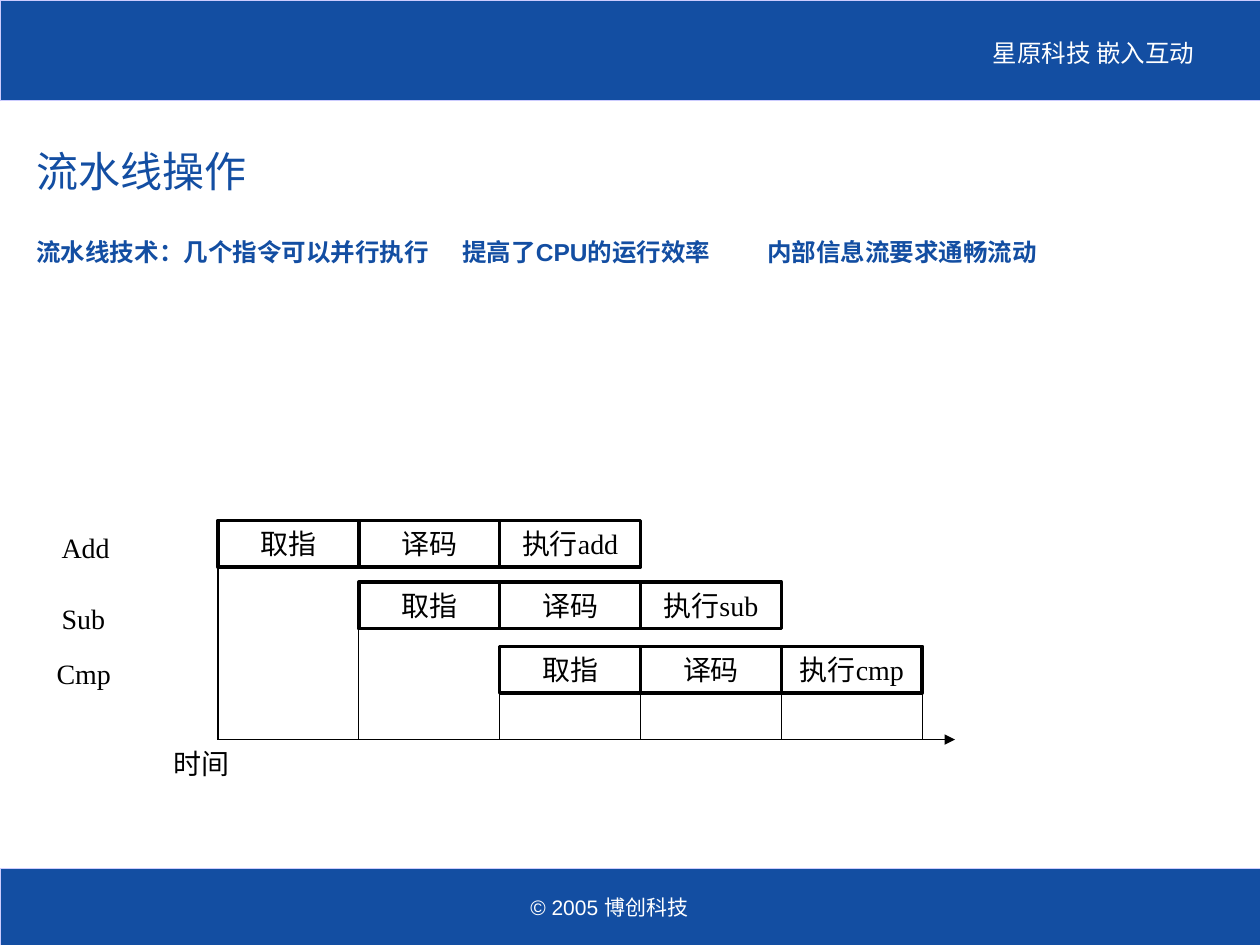
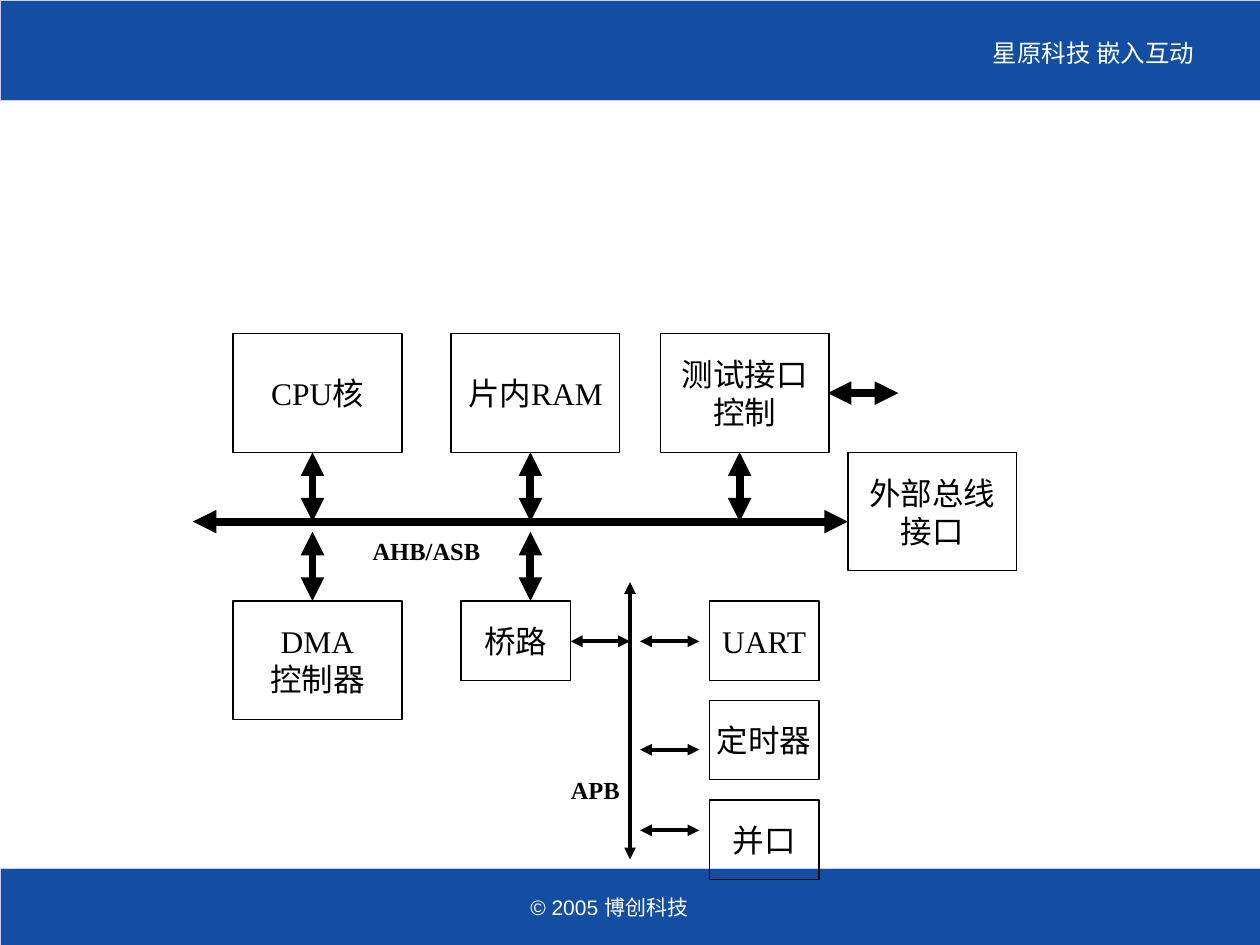
from dataclasses import dataclass

from lxml import etree
from pptx import Presentation
from pptx.dml.color import RGBColor
from pptx.enum.shapes import MSO_CONNECTOR, MSO_SHAPE
from pptx.enum.text import MSO_ANCHOR, PP_ALIGN
from pptx.oxml.ns import qn
from pptx.util import Inches, Pt

RECT = MSO_SHAPE.RECTANGLE
STRAIGHT = MSO_CONNECTOR.STRAIGHT
TOP, MIDDLE = MSO_ANCHOR.TOP, MSO_ANCHOR.MIDDLE
LEFT, CENTER, RIGHT = PP_ALIGN.LEFT, PP_ALIGN.CENTER, PP_ALIGN.RIGHT

COLORS = {"blue": "134EA2", "edge": "CCCCFF", "white": "FFFFFF", "black": "000000"}
SANS, SERIF, CJK = "Arial", "Times New Roman", "Noto Sans CJK SC"


@dataclass(frozen=True)
class Style:
    size: float
    font: str = SERIF
    color: str = "black"
    bold: bool = False
    align: PP_ALIGN = LEFT
    anchor: MSO_ANCHOR = MIDDLE
    inset: tuple[float, float] = (0.1, 0.05)
    wrap: bool = True
    spacing: float = 1.0
    tabs: tuple[float, ...] = ()


@dataclass(frozen=True)
class Box:
    text: str
    x: float
    y: float
    w: float
    h: float


@dataclass(frozen=True)
class Arrow:
    x1: float
    y1: float
    x2: float
    y2: float


HEADER = Style(14, CJK, "white")
FOOTER = Style(12, SANS, "white", align=RIGHT)
TITLE = Style(24, SANS, "blue", spacing=0.9)
BODY = Style(14, SANS, "blue", bold=True, anchor=TOP, tabs=(3.38, 5.8))
LABEL = Style(16)
STAGE = Style(16, align=CENTER)
NODE = Style(18, align=CENTER, inset=(0, 0), wrap=False)
BUS_NAME = Style(14, bold=True, align=CENTER, inset=(0, 0), wrap=False)


def rgb(name: str) -> RGBColor:
    return RGBColor.from_string(COLORS[name])


def write(shape, text: str, style: Style) -> None:
    tf = shape.text_frame
    tf.word_wrap = style.wrap
    tf.vertical_anchor = style.anchor
    tf.margin_left = tf.margin_right = Inches(style.inset[0])
    tf.margin_top = tf.margin_bottom = Inches(style.inset[1])
    for i, line in enumerate(text.split("\n")):
        p = tf.add_paragraph() if i else tf.paragraphs[0]
        p.text = line
        p.alignment = style.align
        p.line_spacing = style.spacing
        if style.tabs:
            tab_list = etree.SubElement(p._p.get_or_add_pPr(), qn("a:tabLst"))
            for pos in style.tabs:
                etree.SubElement(tab_list, qn("a:tab"), pos=str(Inches(pos)), algn="l")
        p.font.size = Pt(style.size)
        p.font.name = style.font
        p.font.bold = style.bold
        p.font.color.rgb = rgb(style.color)


def add_text(s, box: Box, style: Style) -> None:
    tb = s.shapes.add_textbox(Inches(box.x), Inches(box.y), Inches(box.w), Inches(box.h))
    write(tb, box.text, style)


def add_rect(s, box: Box, style: Style, width: float,
             line: str = "black", fill: str | None = None) -> None:
    sp = s.shapes.add_shape(RECT, Inches(box.x), Inches(box.y), Inches(box.w), Inches(box.h))
    sp.shadow.inherit = False
    if fill:
        sp.fill.solid()
        sp.fill.fore_color.rgb = rgb(fill)
    else:
        sp.fill.background()
    sp.line.color.rgb = rgb(line)
    sp.line.width = Pt(width)
    if box.text:
        write(sp, box.text, style)


def add_line(s, a: Arrow, width: float, head: bool = False, tail: bool = False) -> None:
    c = s.shapes.add_connector(STRAIGHT, Inches(a.x1), Inches(a.y1),
                               Inches(a.x2), Inches(a.y2))
    c.line.color.rgb = rgb("black")
    c.line.width = Pt(width)
    ln = c.line._get_or_add_ln()
    for wanted, tag in ((head, "a:headEnd"), (tail, "a:tailEnd")):
        if wanted:
            etree.SubElement(ln, qn(tag), type="triangle")
    etree.SubElement(c._element.spPr, qn("a:effectLst"))


def add_slide(prs):
    """Blank slide with the shared bands, header and footer."""
    s = prs.slides.add_slide(prs.slide_layouts[6])
    for band in (Box("", 0, 6.89, 10, 0.61), Box("", 0, 0, 10, 0.8)):
        add_rect(s, band, HEADER, 0.25, line="edge", fill="blue")
    add_text(s, Box("星原科技 嵌入互动", 7.78, 0.25, 2, 0.34), HEADER)
    add_text(s, Box("© 2005 博创科技", 3.79, 7.05, 1.77, 0.3), FOOTER)
    return s


def build_pipeline(prs) -> None:
    s = add_slide(prs)
    add_text(s, Box("流水线操作", 0.19, 0.95, 9.57, 0.86), TITLE)
    add_text(s, Box("流水线技术：几个指令可以并行执行\t提高了CPU的运行效率\t内部信息流要求通畅流动",
                    0.19, 1.83, 9.57, 4.88), BODY)

    # Each instruction starts one stage later than the one before
    x0, stage_w, stage_h, axis_y = 1.73, 1.118, 0.37, 5.87
    for row, (name, top) in enumerate((("add", 4.13), ("sub", 4.62), ("cmp", 5.13))):
        for i, stage in enumerate(("取指", "译码", "执行" + name)):
            x = x0 + (row + i) * stage_w
            add_rect(s, Box(stage, x, top, stage_w, stage_h), STAGE, 2)

    # Time axis and drop lines
    add_line(s, Arrow(x0, axis_y, 7.58, axis_y), 0.75, tail=True)
    for i, top in enumerate((4.47, 4.96, 5.48, 5.48, 5.48, 5.48)):
        x = x0 + i * stage_w
        add_line(s, Arrow(x, top, x, axis_y), 0.75)

    # Row and axis labels
    for text, x, y in (("时间", 1.28, axis_y), ("Add", 0.39, 4.16),
                       ("Sub", 0.39, 4.72), ("Cmp", 0.35, 5.16)):
        add_text(s, Box(text, x, y, 0.89, stage_h), LABEL)


def build_bus(prs) -> None:
    s = add_slide(prs)
    big, small = (1.34, 0.94), (0.87, 0.63)

    # Blocks on the system bus
    for text, x, y in (("CPU核", 1.85, 2.65), ("片内RAM", 3.58, 2.65),
                       ("测试接口\n控制", 5.24, 2.65), ("DMA\n控制器", 1.85, 4.77),
                       ("外部总线\n接口", 6.73, 3.59)):
        add_rect(s, Box(text, x, y, *big), NODE, 0.75)

    # Bridge and peripherals
    add_rect(s, Box("桥路", 3.66, 4.77, *small), NODE, 0.75)
    for i, text in enumerate(("UART", "定时器", "并口")):
        add_rect(s, Box(text, 5.63, 4.77 + i * 0.79, *small), NODE, 0.75)

    # System bus with its links
    links = [Arrow(1.53, 4.14, 6.73, 4.14), Arrow(6.57, 3.12, 7.13, 3.12)]
    links += [Arrow(x, 3.59, x, 4.14) for x in (2.48, 4.21, 5.87)]
    links += [Arrow(x, 4.22, x, 4.77) for x in (2.48, 4.21)]
    for link in links:
        add_line(s, link, 4.5, head=True, tail=True)

    # Peripheral bus with its links
    links = [Arrow(5, 4.62, 5, 6.82), Arrow(4.53, 5.09, 5, 5.09)]
    links += [Arrow(5.08, y, 5.55, y) for y in (5.09, 5.95, 6.59)]
    for link in links:
        add_line(s, link, 2.25, head=True, tail=True)

    # Bus names
    for text, x, y in (("APB", 4.29, 5.95), ("AHB/ASB", 2.95, 4.06)):
        add_text(s, Box(text, x, y, *small), BUS_NAME)


def main() -> None:
    prs = Presentation()
    prs.slide_width, prs.slide_height = Inches(10), Inches(7.5)
    build_pipeline(prs)
    build_bus(prs)
    prs.save("out.pptx")


if __name__ == "__main__":
    main()
